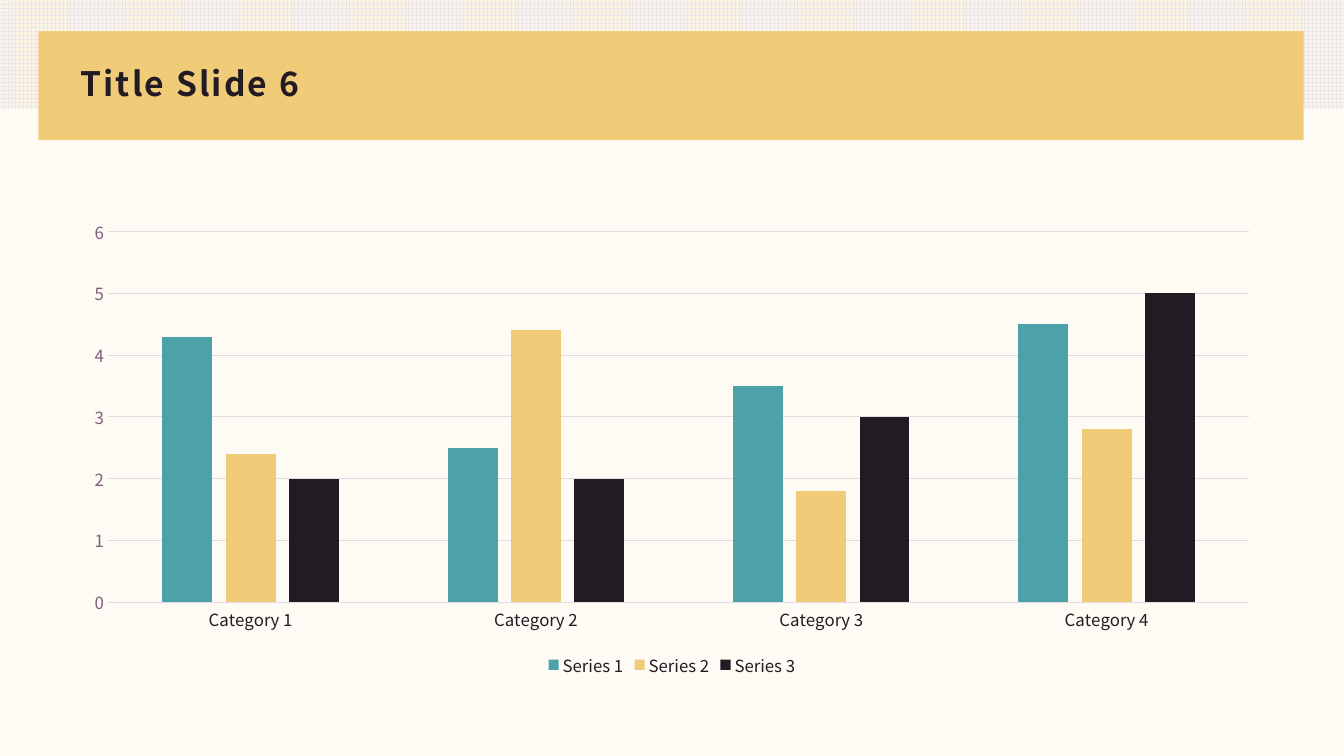
from pptx import Presentation
from pptx.chart.data import CategoryChartData
from pptx.dml.color import RGBColor
from pptx.enum.chart import XL_CHART_TYPE as ChartType, XL_LEGEND_POSITION as LegendPos, XL_TICK_MARK as Tick
from pptx.enum.dml import MSO_PATTERN as Pattern
from pptx.enum.shapes import MSO_SHAPE as Shape
from pptx.enum.text import MSO_ANCHOR as Anchor, PP_ALIGN as Align
from pptx.util import Inches, Pt

FONT = "Noto Sans CJK JP"
INK, GOLD, TEAL, PLUM = "231B23", "F0CC79", "4DA1A8", "7C5F7C"
PAPER, CREAM, GRID, WEAVE = "FEFBF5", "FCF5E5", "E2D9E2", "EBE6EB"

CATEGORIES = [f"Category {number}" for number in range(1, 5)]
SERIES = [
    ("Series 1", (4.3, 2.5, 3.5, 4.5), TEAL),
    ("Series 2", (2.4, 4.4, 1.8, 2.8), GOLD),
    ("Series 3", (2, 2, 3, 5), INK),
]


def color(hex_value):
    """Turn a hex string into a colour."""
    return RGBColor.from_string(hex_value)


def set_all(target, values):
    """Set every attribute named in a dict of format values."""
    for name, value in values.items():
        setattr(target, name, value)


def style_font(font, size, hex_value, bold=False):
    """Apply the slide's typeface with a size and colour."""
    set_all(font, {"name": FONT, "size": Pt(size), "bold": bold})
    font.color.rgb = color(hex_value)


def style_line(line, hex_value):
    """Draw a thin line in one colour."""
    line.color.rgb = color(hex_value)
    line.width = Pt(0.75)


def paint_solid(fill, hex_value):
    """Fill with one colour."""
    fill.solid()
    fill.fore_color.rgb = color(hex_value)


def add_band(slide, left, top, width, height):
    """Add a rectangle without outline or shadow and return it."""
    band = slide.shapes.add_shape(
        Shape.RECTANGLE, Inches(left), Inches(top), Inches(width), Inches(height))
    band.shadow.inherit = False
    band.line.fill.background()
    return band


def add_header(slide):
    """Add the woven strip and the gold title bar."""
    weave = add_band(slide, 0, 0, 13.33, 1.08).fill
    weave.patterned()
    weave.pattern = Pattern.LARGE_GRID
    weave.fore_color.rgb = color(WEAVE)
    weave.back_color.rgb = color(CREAM)
    paint_solid(add_band(slide, 0.38, 0.31, 12.55, 1.08).fill, GOLD)


def place_title(slide, wording):
    """Move the title placeholder onto the gold bar and format it."""
    title = slide.shapes.title
    set_all(title, {"left": Inches(0.7), "top": Inches(0.53),
                    "width": Inches(11.93), "height": Inches(0.64)})
    slide.shapes._spTree.append(title._element)
    title.text_frame.vertical_anchor = Anchor.MIDDLE
    heading = title.text_frame.paragraphs[0]
    set_all(heading, {"alignment": Align.LEFT, "line_spacing": 0.9})
    run = heading.add_run()
    run.text = wording
    style_font(run.font, 24, INK, bold=True)
    run._r.get_or_add_rPr().set("spc", "150")


def style_axes(chart):
    """Format the category and value axes."""
    category_axis, value_axis = chart.category_axis, chart.value_axis
    for axis, label_color in ((category_axis, INK), (value_axis, PLUM)):
        set_all(axis, {"major_tick_mark": Tick.NONE, "minor_tick_mark": Tick.NONE})
        style_font(axis.tick_labels.font, 12, label_color)
    style_line(category_axis.format.line, GRID)
    set_all(value_axis, {"minimum_scale": 0, "maximum_scale": 6, "major_unit": 1})
    value_axis.format.line.fill.background()
    style_line(value_axis.major_gridlines.format.line, GRID)


def add_column_chart(slide):
    """Add the clustered column chart with its legend."""
    figures = CategoryChartData()
    figures.categories = CATEGORIES
    for name, values, _ in SERIES:
        figures.add_series(name, values)
    chart = slide.shapes.add_chart(
        ChartType.COLUMN_CLUSTERED, Inches(0.7), Inches(2.08),
        Inches(11.93), Inches(4.68), figures).chart
    set_all(chart, {"has_title": False, "has_legend": True})
    style_font(chart.font, 10, INK)
    set_all(chart.legend, {"position": LegendPos.BOTTOM, "include_in_layout": False})
    style_font(chart.legend.font, 12, INK)
    style_axes(chart)
    columns = chart.plots[0]
    set_all(columns, {"gap_width": 219, "overlap": -27, "vary_by_categories": False})
    for series, (_, _, hex_value) in zip(columns.series, SERIES):
        paint_solid(series.format.fill, hex_value)
        series.invert_if_negative = False


def main():
    """Build the slide and save it."""
    deck = Presentation()
    set_all(deck, {"slide_width": Inches(13.33), "slide_height": Inches(7.5)})
    slide = deck.slides.add_slide(deck.slide_layouts.get_by_name("Title Only"))
    paint_solid(slide.background.fill, PAPER)
    add_header(slide)
    place_title(slide, "Title Slide 6")
    add_column_chart(slide)
    deck.save("out.pptx")


if __name__ == "__main__":
    main()
